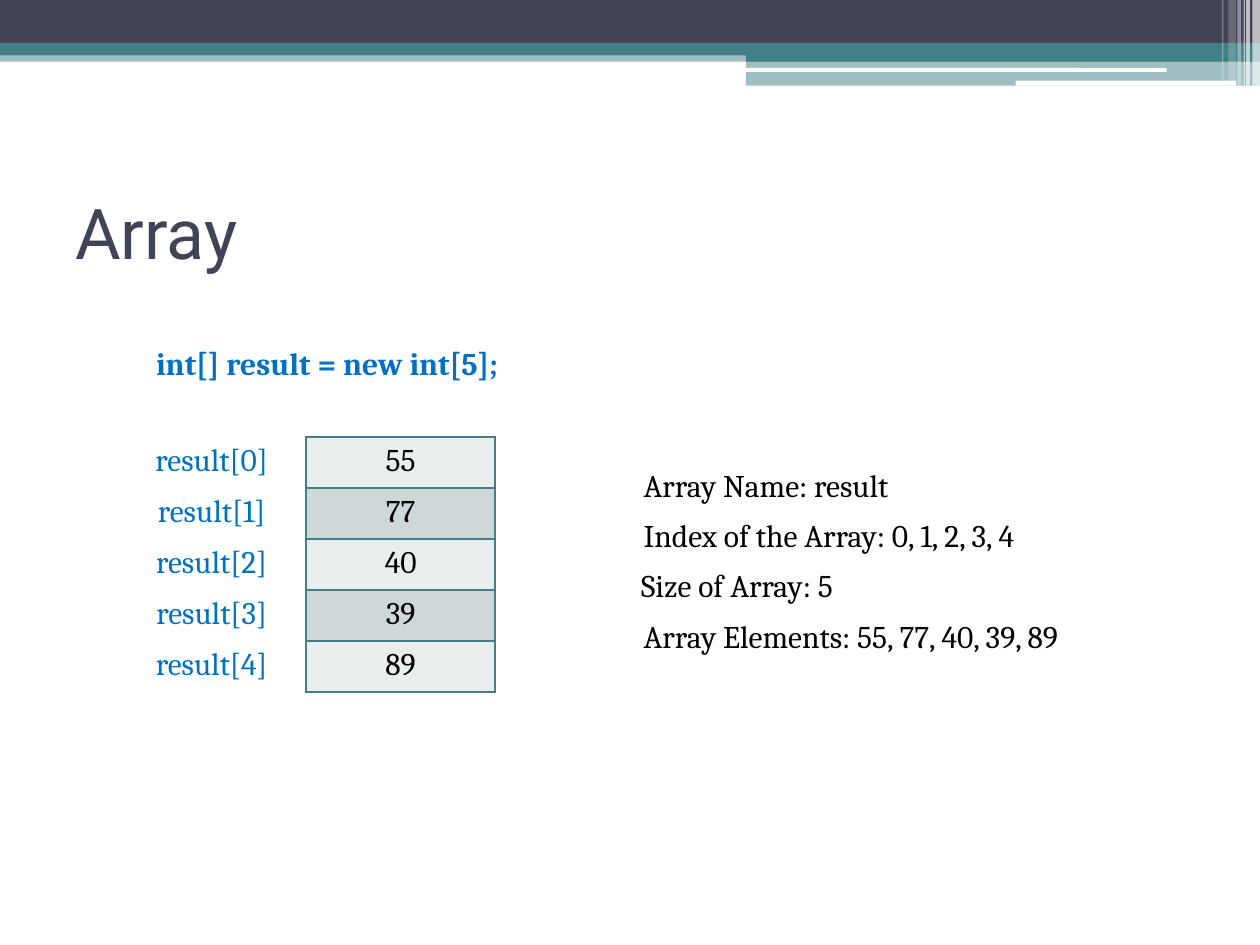
from dataclasses import dataclass
from typing import Optional

from lxml.etree import SubElement
from pptx import Presentation
from pptx.dml.color import RGBColor
from pptx.enum.shapes import MSO_SHAPE
from pptx.enum.text import MSO_ANCHOR, PP_ALIGN
from pptx.oxml.ns import qn
from pptx.util import Inches, Pt

SLATE, TEAL, WHITE, BLACK, BLUE = "424456", "438086", "FFFFFF", "000000", "0070C0"
STRIPES = ("E9EDED", "CFD8D9")
VALUES = (55, 77, 40, 39, 89)


@dataclass
class Bar:
    """A band of the header, with its opacity in percent."""
    left: float
    top: float
    width: float
    height: float
    color: str
    alpha: int = 100
    rounded: bool = False


@dataclass
class Note:
    """A line of text and its place."""
    text: str
    left: float
    top: float
    width: float
    color: str = BLACK
    bold: bool = False


BARS = (
    Bar(0, 0.4, 10, 0.09, TEAL, 50),
    Bar(0, 0, 10, 0.34, SLATE),
    Bar(0, 0.34, 10, 0.1, TEAL),
    Bar(5.92, 0.39, 4.08, 0.1, TEAL),
    Bar(5.92, 0.48, 4.08, 0.2, TEAL, 50),
    Bar(5.91, 0.54, 3.35, 0.03, WHITE, rounded=True),
    Bar(8.06, 0.64, 1.75, 0.04, WHITE, rounded=True),
    Bar(9.94, 0, 0.06, 0.68, WHITE, 65),
    Bar(9.89, 0, 0.03, 0.68, WHITE, 65),
    Bar(9.87, 0, 0.01, 0.68, WHITE, 60),
    Bar(9.82, 0, 0.03, 0.68, WHITE, 40),
    Bar(9.75, 0, 0.06, 0.64, WHITE, 20),
    Bar(9.7, 0, 0.01, 0.64, WHITE, 30),
)
NOTES = (
    Note("Array Name: result", 5.01, 3.65, 2.34),
    Note("Index of the Array: 0, 1, 2, 3, 4", 5.01, 4.05, 3.58),
    Note("Size of Array: 5", 4.99, 4.44, 1.9),
    Note("Array Elements: 55, 77, 40, 39, 89", 5.01, 4.85, 3.99),
    Note("int[] result = new int[5];", 1.14, 2.68, 3.35, BLUE, True),
)


def paint(fill, color: str, alpha: int = 100) -> None:
    """Give a fill a solid colour and an opacity."""
    fill.solid()
    fill.fore_color.rgb = RGBColor.from_string(color)
    if alpha < 100:
        tone = fill._xPr.find(qn("a:solidFill"))[0]
        SubElement(tone, qn("a:alpha"), val=str(alpha * 1000))


def write(frame, text: str, *, size: float = 18, font: str = "Cambria",
          color: str = BLACK, bold: bool = False, align=PP_ALIGN.LEFT) -> None:
    """Put one formatted line of text in a frame."""
    line = frame.paragraphs[0]
    line.alignment = align
    run = line.add_run()
    run.text = text
    run.font.size, run.font.name, run.font.bold = Pt(size), font, bold
    run.font.color.rgb = RGBColor.from_string(color)


def add_bar(slide, bar: Bar) -> None:
    """Draw one band of the header."""
    kind = MSO_SHAPE.ROUNDED_RECTANGLE if bar.rounded else MSO_SHAPE.RECTANGLE
    shape = slide.shapes.add_shape(kind, Inches(bar.left), Inches(bar.top),
                                   Inches(bar.width), Inches(bar.height))
    shape.shadow.inherit = False
    shape.line.fill.background()
    paint(shape.fill, bar.color, bar.alpha)


def add_box(slide, left: float, top: float, width: float, height: float):
    """Add a wrapping text box and return its frame."""
    frame = slide.shapes.add_textbox(Inches(left), Inches(top),
                                     Inches(width), Inches(height)).text_frame
    frame.word_wrap = True
    return frame


def set_edges(cell, color: Optional[str]) -> None:
    """Set the four borders of a cell, or clear them without a colour."""
    props = cell._tc.get_or_add_tcPr()
    for spot, side in enumerate(("lnL", "lnR", "lnT", "lnB")):
        line = props.makeelement(qn(f"a:{side}"), {"w": str(Pt(1))})
        props.insert(spot, line)
        if color:
            solid = SubElement(line, qn("a:solidFill"))
            SubElement(solid, qn("a:srgbClr"), val=color)
        else:
            SubElement(line, qn("a:noFill"))


def add_column(slide, left: float, texts: list[str], color: str,
               fills: tuple[str, ...] = (), edge: Optional[str] = None) -> None:
    """Draw a table of one column, its fills taken in turn."""
    count = len(texts)
    table = slide.shapes.add_table(count, 1, Inches(left), Inches(3.47),
                                   Inches(1.5), Inches(0.405 * count)).table
    table.first_row = table.horz_banding = False
    for row, text in enumerate(texts):
        cell = table.cell(row, 0)
        write(cell.text_frame, text, color=color, align=PP_ALIGN.CENTER)
        if fills:
            paint(cell.fill, fills[row % len(fills)])
        else:
            cell.fill.background()
        set_edges(cell, edge)


def main() -> None:
    """Build the slide and save it."""
    deck = Presentation()
    deck.slide_width, deck.slide_height = Inches(10), Inches(7.5)
    slide = deck.slides.add_slide(deck.slide_layouts[6])
    for bar in BARS:
        add_bar(slide, bar)
    title = add_box(slide, 0.5, 1.25, 9, 1.17)
    title.vertical_anchor = MSO_ANCHOR.MIDDLE
    write(title, "Array", size=40, font="Roboto", color=SLATE)
    names = [f"result[{spot}]" for spot in range(len(VALUES))]
    add_column(slide, 0.93, names, BLUE)
    add_column(slide, 2.43, [str(value) for value in VALUES], BLACK, STRIPES, TEAL)
    for note in NOTES:
        frame = add_box(slide, note.left, note.top, note.width, 0.4)
        write(frame, note.text, color=note.color, bold=note.bold)
    deck.save("out.pptx")


if __name__ == "__main__":
    main()
